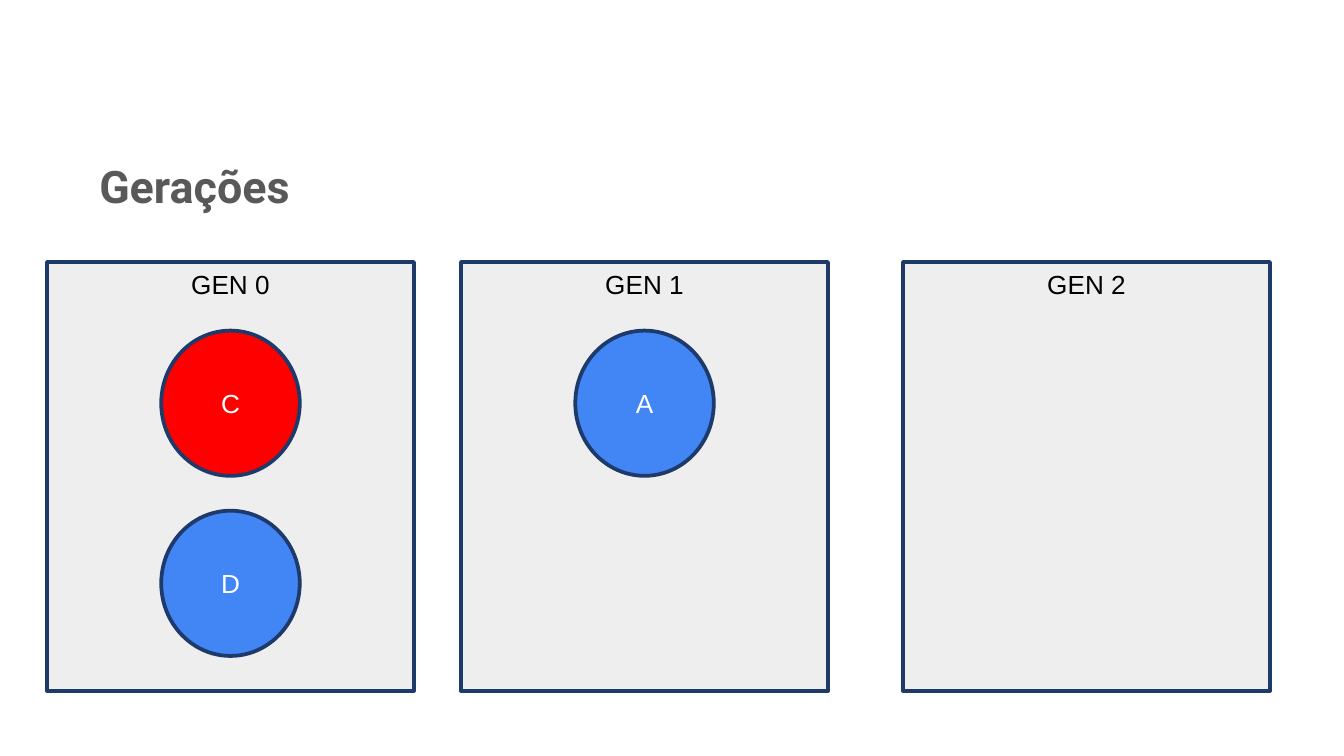
from dataclasses import dataclass

from pptx import Presentation
from pptx.dml.color import RGBColor
from pptx.enum.shapes import MSO_SHAPE
from pptx.enum.text import MSO_ANCHOR, PP_ALIGN
from pptx.util import Pt


@dataclass(frozen=True)
class Theme:
    """Colours, fonts and sizes of the slide."""
    panel: str = "EEEEEE"
    outline: str = "1D3A6B"
    live: str = "4285F4"
    dead: str = "FF0000"
    title: str = "595959"
    dark: str = "000000"
    light: str = "FFFFFF"
    title_font: str = "Roboto"
    body_font: str = "Arial"
    title_size: float = 24
    body_size: float = 14
    line_width: float = 2


THEME = Theme()
PANEL_TOP, PANEL_WIDTH, PANEL_HEIGHT = 140.4, 196.6, 229.7
OBJECT_WIDTH, OBJECT_HEIGHT = 74.2, 77.8
OBJECT_OFFSET, OBJECT_PITCH = 36.7, 96.5
GENERATIONS = [
    (25.2, "GEN 0", [("C", THEME.dead), ("D", THEME.live)]),
    (247, "GEN 1", [("A", THEME.live)]),
    (483.8, "GEN 2", []),
]


def write_text(shape, text, color, font, size, bold, align, frame_format):
    """Write one formatted line of text into a shape."""
    frame = shape.text_frame
    for name, value in {"word_wrap": True, **frame_format}.items():
        setattr(frame, name, value)
    para = frame.paragraphs[0]
    para.alignment = align
    span = para.add_run()
    span.text = text
    for name, value in {"name": font, "size": Pt(size), "bold": bold}.items():
        setattr(span.font, name, value)
    span.font.color.rgb = RGBColor.from_string(color)


def add_outlined(page, kind, box, fill, text, color, anchor):
    """Draw a filled, outlined shape with a centred label."""
    shape = page.shapes.add_shape(kind, *map(Pt, box))
    shape.shadow.inherit = False
    shape.fill.solid()
    shape.fill.fore_color.rgb = RGBColor.from_string(fill)
    shape.line.color.rgb = RGBColor.from_string(THEME.outline)
    shape.line.width = Pt(THEME.line_width)
    write_text(shape, text, color, THEME.body_font, THEME.body_size, False,
               PP_ALIGN.CENTER, {"vertical_anchor": anchor})


def add_title(page, box, text):
    """Place the slide title in the given box."""
    shape = page.shapes.add_textbox(*map(Pt, box))
    margins = {f"margin_{side}": Pt(7.2) for side in ("left", "top", "right", "bottom")}
    write_text(shape, text, THEME.title, THEME.title_font, THEME.title_size, True,
               PP_ALIGN.LEFT, {"vertical_anchor": MSO_ANCHOR.TOP, **margins})


def add_generation(page, box, label, objects):
    """Draw a generation panel with its objects stacked on the centre line."""
    left, top, width, _ = box
    add_outlined(page, MSO_SHAPE.RECTANGLE, box, THEME.panel, label,
                 THEME.dark, MSO_ANCHOR.TOP)
    for row, (name, fill) in enumerate(objects):
        object_box = (left + (width - OBJECT_WIDTH) / 2,
                      top + OBJECT_OFFSET + row * OBJECT_PITCH,
                      OBJECT_WIDTH, OBJECT_HEIGHT)
        add_outlined(page, MSO_SHAPE.OVAL, object_box, fill, name,
                     THEME.light, MSO_ANCHOR.MIDDLE)


def main():
    """Build and save the deck."""
    deck = Presentation()
    deck.slide_width, deck.slide_height = Pt(720), Pt(405)
    page = deck.slides.add_slide(deck.slide_layouts[6])
    add_title(page, (46.1, 77.8, 568.1, 51.1), "Gerações")
    for left, label, objects in GENERATIONS:
        add_generation(page, (left, PANEL_TOP, PANEL_WIDTH, PANEL_HEIGHT), label, objects)
    deck.save("out.pptx")


if __name__ == "__main__":
    main()
